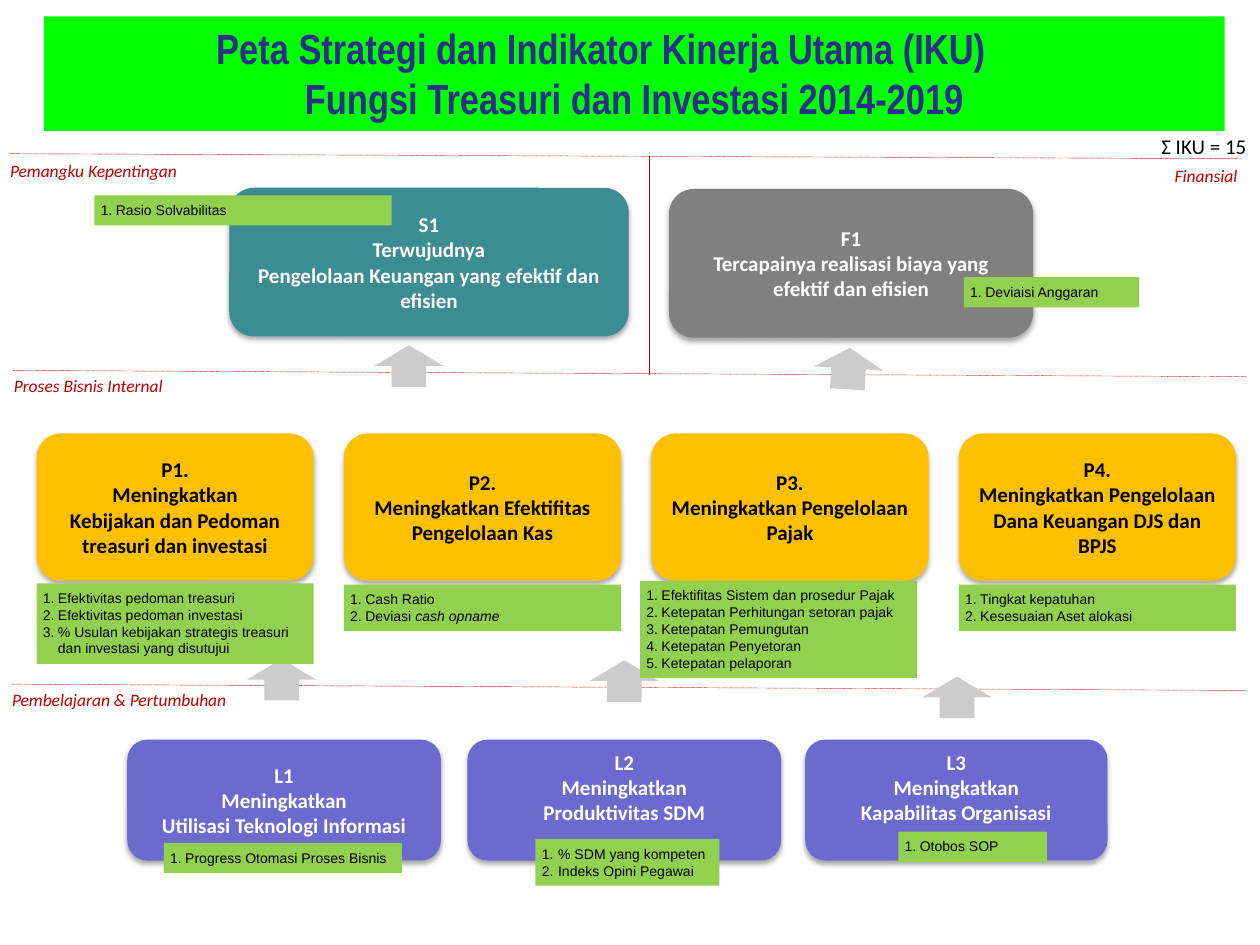
from dataclasses import dataclass

from lxml.etree import SubElement
from pptx import Presentation
from pptx.dml.color import RGBColor
from pptx.enum.dml import MSO_LINE
from pptx.enum.shapes import MSO_CONNECTOR, MSO_SHAPE
from pptx.enum.text import MSO_ANCHOR, PP_ALIGN
from pptx.oxml.ns import qn
from pptx.util import Inches, Pt

TEAL, GRAY, AMBER, VIOLET = "3C8C93", "808080", "FFC000", "6B6BCF"
BLACK, WHITE, RED, NAVY = "000000", "FFFFFF", "C00000", "2D2D8A"
LIME, GREEN, SILVER = "00FF00", "92D050", "CCCCCC"


@dataclass
class Box:
    left: float
    top: float
    width: float
    height: float

    def lengths(self):
        return [Inches(v) for v in (self.left, self.top, self.width, self.height)]


@dataclass
class Goal:
    box: Box
    fill: str
    lines: list[str]
    color: str = WHITE
    bottom: float = 0.05


@dataclass
class Indicators:
    box: Box
    items: list[str]
    indent: float = 0.12


@dataclass
class Label:
    box: Box
    text: str
    align: PP_ALIGN = PP_ALIGN.LEFT
    size: int = 10
    color: str = RED
    italic: bool = True


def rgb(color: str) -> RGBColor:
    return RGBColor.from_string(color)


def write(shape, lines: list[str], *, size: float, font: str, color: str, bold=False,
          italic=False, align=PP_ALIGN.CENTER, anchor=MSO_ANCHOR.TOP,
          insets=(0.1, 0.05, 0.1, 0.05)):
    """Write one paragraph per line; words between underscores are italic."""
    frame = shape.text_frame
    frame.word_wrap = True
    frame.vertical_anchor = anchor
    (frame.margin_left, frame.margin_top,
     frame.margin_right, frame.margin_bottom) = [Inches(v) for v in insets]
    for i, line in enumerate(lines):
        paragraph = frame.add_paragraph() if i else frame.paragraphs[0]
        paragraph.alignment = align
        for j, part in enumerate(line.split("_")):
            if not part:
                continue
            run = paragraph.add_run()
            run.text = part
            run.font.size = Pt(size)
            run.font.name = font
            run.font.bold = bold
            run.font.italic = italic or j % 2 == 1
            run.font.color.rgb = rgb(color)
    return frame


def add_filled(slide, kind: MSO_SHAPE, box: Box, fill: str):
    shape = slide.shapes.add_shape(kind, *box.lengths())
    shape.shadow.inherit = False
    shape.fill.solid()
    shape.fill.fore_color.rgb = rgb(fill)
    shape.line.fill.background()
    return shape


def add_soft_shadow(shape) -> None:
    effects = shape._element.spPr.find(qn("a:effectLst"))
    shadow = SubElement(effects, qn("a:outerShdw"), blurRad=str(Pt(3.1)),
                        dist=str(Pt(1.8)), dir="5400000", rotWithShape="0")
    color = SubElement(shadow, qn("a:srgbClr"), val=BLACK)
    SubElement(color, qn("a:alpha"), val="35000")


def add_goal(slide, goal: Goal) -> None:
    shape = add_filled(slide, MSO_SHAPE.ROUNDED_RECTANGLE, goal.box, goal.fill)
    add_soft_shadow(shape)
    write(shape, goal.lines, size=12, font="Calibri", color=goal.color, bold=True,
          anchor=MSO_ANCHOR.MIDDLE, insets=(0.1, 0.05, 0.1, goal.bottom))


def add_indicators(slide, indicators: Indicators) -> None:
    shape = add_filled(slide, MSO_SHAPE.RECTANGLE, indicators.box, GREEN)
    frame = write(shape, indicators.items, size=8, font="Arial", color=BLACK,
                  align=PP_ALIGN.LEFT, insets=(0.05,) * 4)
    for paragraph in frame.paragraphs:
        properties = paragraph._p.get_or_add_pPr()
        properties.set("marL", str(Inches(indicators.indent)))
        properties.set("indent", str(-Inches(indicators.indent)))
        SubElement(properties, qn("a:buFont"), typeface="+mj-lt")
        SubElement(properties, qn("a:buAutoNum"), type="arabicPeriod")


def add_label(slide, label: Label) -> None:
    shape = slide.shapes.add_textbox(*label.box.lengths())
    write(shape, [label.text], size=label.size, font="Calibri", color=label.color,
          italic=label.italic, align=label.align, insets=(0,) * 4)


def add_divider(slide, *ends: float) -> None:
    line = slide.shapes.add_connector(MSO_CONNECTOR.STRAIGHT, *[Inches(v) for v in ends])
    line.line.color.rgb = rgb(RED)
    line.line.width = Pt(0.25)
    line.line.dash_style = MSO_LINE.ROUND_DOT
    SubElement(line._element.spPr, qn("a:effectLst"))


def add_title(slide) -> None:
    shift = 0.53  # the first line is centred further left than the second
    banner = add_filled(slide, MSO_SHAPE.RECTANGLE, Box(0.35, 0.13, 9.37, 0.91), LIME)
    frame = write(banner, ["Peta Strategi dan Indikator Kinerja Utama (IKU)",
                           "Fungsi Treasuri dan Investasi 2014-2019"],
                  size=24, font="Arial Narrow", color=NAVY, bold=True,
                  insets=(0.1, 0.05, 0.1 + shift, 0.05))
    second = frame.paragraphs[1]._p.get_or_add_pPr()
    second.set("marL", str(Inches(shift)))
    second.set("indent", "0")


# Dividers between the perspectives: x1, y1, x2, y2
DIVIDERS = [(0.07, 1.22, 9.86, 1.26), (0.1, 2.94, 9.89, 2.99),
            (0.09, 5.43, 9.88, 5.48), (5.15, 1.24, 5.15, 2.97)]

LABELS = [
    Label(Box(0.08, 1.27, 1.67, 0.17), "Pemangku Kepentingan"),
    Label(Box(9.16, 1.31, 0.66, 0.17), "Finansial", PP_ALIGN.RIGHT),
    Label(Box(0.11, 2.98, 1.67, 0.17), "Proses Bisnis Internal"),
    Label(Box(0.04, 5.47, 1.81, 0.17), "Pembelajaran & Pertumbuhan", PP_ALIGN.CENTER),
    Label(Box(9.07, 1.06, 0.97, 0.2), "Ʃ IKU = 15", PP_ALIGN.CENTER, 12, BLACK, False),
]

# Upward arrows: left, top, rotation
ARROWS = [(2.97, 2.74, 0), (6.46, 2.76, 3.5), (1.96, 5.23, 0), (4.68, 5.24, 0), (7.32, 5.37, 0)]

PROCESS_LEFTS = [0.29 + 2.44 * i for i in range(4)]
PROCESS_LINES = [
    ["P1.", "Meningkatkan", "Kebijakan dan Pedoman treasuri dan investasi"],
    ["P2.", "Meningkatkan Efektifitas Pengelolaan Kas"],
    ["P3.", "Meningkatkan Pengelolaan Pajak"],
    ["P4.", "Meningkatkan Pengelolaan Dana Keuangan DJS dan BPJS"],
]

GOALS = [
    Goal(Box(1.82, 1.49, 3.17, 1.18), TEAL,
         ["S1", "Terwujudnya", "Pengelolaan Keuangan yang efektif dan efisien"]),
    Goal(Box(5.31, 1.5, 2.89, 1.18), GRAY,
         ["F1", "Tercapainya realisasi biaya yang efektif dan efisien"]),
    *[Goal(Box(left, 3.44, 2.2, 1.17), AMBER, lines, BLACK)
      for left, lines in zip(PROCESS_LEFTS, PROCESS_LINES)],
    Goal(Box(1.01, 5.87, 2.49, 0.96), VIOLET,
         ["L1", "Meningkatkan", "Utilisasi Teknologi Informasi"]),
    Goal(Box(3.71, 5.87, 2.49, 0.96), VIOLET,
         ["L2", "Meningkatkan", "Produktivitas SDM"], bottom=0.25),
    Goal(Box(6.39, 5.87, 2.4, 0.96), VIOLET,
         ["L3", "Meningkatkan", "Kapabilitas Organisasi"], bottom=0.25),
]

INDICATORS = [
    Indicators(Box(0.75, 1.55, 2.36, 0.24), ["Rasio Solvabilitas"]),
    Indicators(Box(7.65, 2.2, 1.39, 0.24), ["Deviaisi Anggaran"]),
    Indicators(Box(PROCESS_LEFTS[0], 4.63, 2.2, 0.64),
               ["Efektivitas pedoman treasuri", "Efektivitas pedoman investasi",
                "% Usulan kebijakan strategis treasuri dan investasi yang disutujui"]),
    Indicators(Box(PROCESS_LEFTS[1], 4.64, 2.2, 0.37), ["Cash Ratio", "Deviasi _cash opname_"]),
    Indicators(Box(5.08, 4.61, 2.2, 0.77),
               ["Efektifitas Sistem dan prosedur Pajak", "Ketepatan Perhitungan setoran pajak",
                "Ketepatan Pemungutan", "Ketepatan Penyetoran", "Ketepatan pelaporan"]),
    Indicators(Box(PROCESS_LEFTS[3], 4.64, 2.2, 0.37),
               ["Tingkat kepatuhan", "Kesesuaian Aset alokasi"]),
    Indicators(Box(1.3, 6.69, 1.89, 0.24), ["Progress Otomasi Proses Bisnis"]),
    Indicators(Box(4.25, 6.66, 1.46, 0.37), ["% SDM yang kompeten", "Indeks Opini Pegawai"], 0.13),
    Indicators(Box(7.13, 6.6, 1.18, 0.24), ["Otobos SOP"]),
]


def main() -> None:
    deck = Presentation()
    deck.slide_width, deck.slide_height = Inches(10), Inches(7.5)
    slide = deck.slides.add_slide(deck.slide_layouts[6])

    # Banner and perspectives
    add_title(slide)
    for ends in DIVIDERS:
        add_divider(slide, *ends)
    for label in LABELS:
        add_label(slide, label)

    # Strategy map, with indicators in front
    for left, top, rotation in ARROWS:
        arrow = add_filled(slide, MSO_SHAPE.UP_ARROW, Box(left, top, 0.55, 0.33), SILVER)
        arrow.rotation = rotation
    for goal in GOALS:
        add_goal(slide, goal)
    for indicators in INDICATORS:
        add_indicators(slide, indicators)

    deck.save("out.pptx")


if __name__ == "__main__":
    main()
